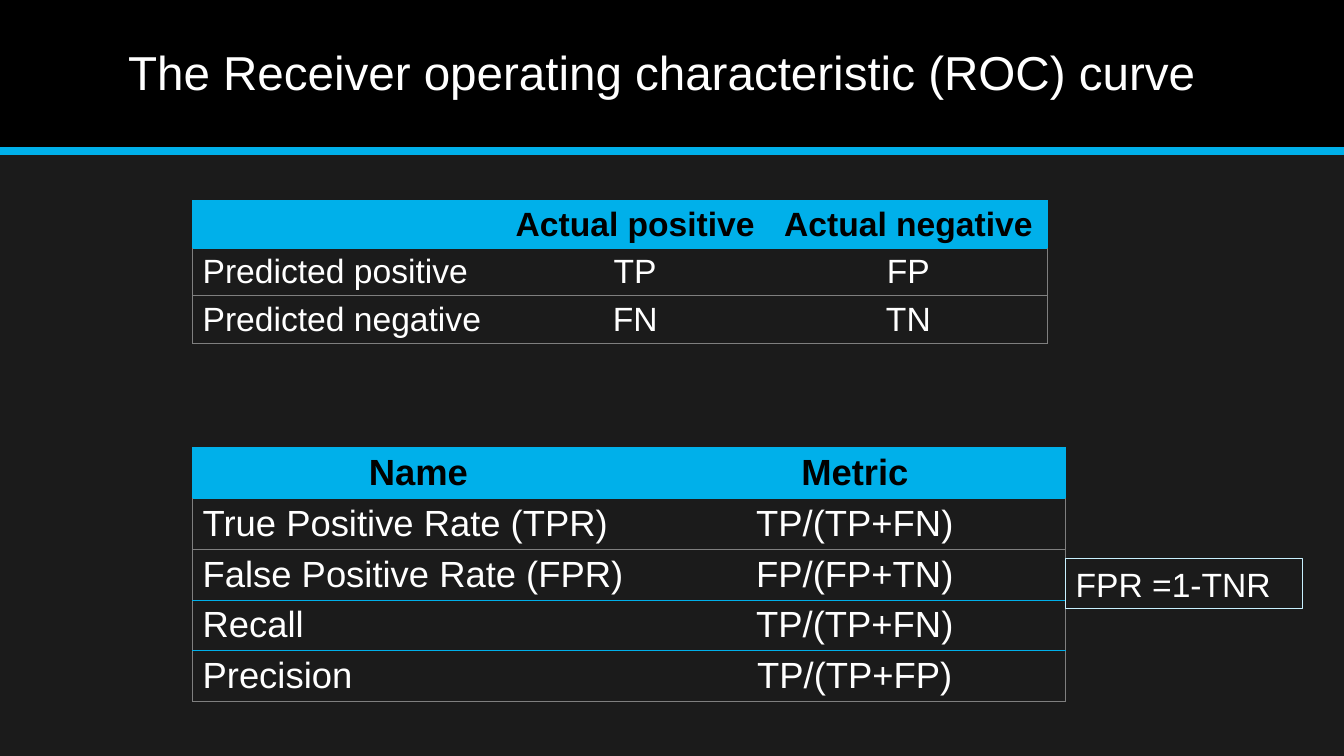
from lxml import etree
from pptx import Presentation
from pptx import util as u
from pptx.dml.color import RGBColor
from pptx.enum import shapes, text
from pptx.oxml import ns

COLORS = {
    "background": "1B1B1B",
    "band": "000000",
    "accent": "00B0EA",
    "grid": "7F7F7F",
    "note": "C8F1FF",
    "light": "FFFFFF",
    "dark": "000000",
}
PLAIN_TABLE = "{2D5ABB26-0587-4C30-8999-92F81FD0307C}"
CONFUSION = [
    ["", "Actual positive", "Actual negative"],
    ["Predicted positive", "TP", "FP"],
    ["Predicted negative", "FN", "TN"],
]
METRICS = [
    ["Name", "Metric"],
    ["True Positive Rate (TPR)", "TP/(TP+FN)"],
    ["False Positive Rate (FPR)", "FP/(FP+TN)"],
    ["Recall", "TP/(TP+FN)"],
    ["Precision", "TP/(TP+FP)"],
]


class Deck:
    font = "Arial"

    def __init__(self, width, height):
        self.deck = Presentation()
        self.deck.slide_width = u.Inches(width)
        self.deck.slide_height = u.Inches(height)
        self.slide = self.deck.slides.add_slide(self.deck.slide_layouts[5])
        self.shapes = self.slide.shapes
        self.paint(self.slide.background.fill, "background")

    def color(self, name):
        return RGBColor.from_string(COLORS[name])

    def paint(self, fill, name):
        fill.solid()
        fill.fore_color.rgb = self.color(name)

    def put_text(self, frame, words, size, color="light", bold=False,
                 align=text.PP_ALIGN.LEFT):
        frame.text = words
        paragraph = frame.paragraphs[0]
        paragraph.alignment = align
        for run in paragraph.runs:
            run.font.name = self.font
            run.font.size = u.Pt(size)
            run.font.bold = bold
            run.font.color.rgb = self.color(color)
        return paragraph

    def box(self, left, top, width, height):
        shape = self.shapes.add_shape(
            shapes.MSO_SHAPE.RECTANGLE,
            *map(u.Inches, (left, top, width, height)))
        shape.shadow.inherit = False
        return shape

    def band(self, width, height):
        header = self.box(0, 0, width, height)
        self.paint(header.fill, "band")
        header.line.fill.background()

    def rule(self, top, width, weight):
        divider = self.shapes.add_connector(
            shapes.MSO_CONNECTOR.STRAIGHT,
            *map(u.Inches, (0, top, width, top)))
        divider.line.color.rgb = self.color("accent")
        divider.line.width = u.Pt(weight)
        etree.SubElement(divider._element.spPr, ns.qn("a:effectLst"))

    def title(self, words, left, top, width, height):
        heading = self.shapes.title
        heading.left, heading.top, heading.width, heading.height = map(
            u.Inches, (left, top, width, height))
        frame = heading.text_frame
        frame.auto_size = text.MSO_AUTO_SIZE.NONE
        frame.vertical_anchor = text.MSO_ANCHOR.MIDDLE
        self.put_text(frame, words, 34).line_spacing = 0.9
        self.shapes._spTree.append(heading._element)

    def note(self, words, left, top, width, height):
        remark = self.box(left, top, width, height)
        remark.fill.background()
        remark.line.color.rgb = self.color("note")
        remark.line.width = u.Pt(0.75)
        remark.text_frame.word_wrap = True
        self.put_text(remark.text_frame, words, 24)

    def border(self, cell, side, name):
        edge = etree.SubElement(cell._tc.get_or_add_tcPr(),
                                ns.qn(f"a:ln{side}"), w=str(u.Pt(0.5)))
        fill = etree.SubElement(edge, ns.qn("a:solidFill"))
        etree.SubElement(fill, ns.qn("a:srgbClr"), val=COLORS[name])

    def table(self, rows, left, top, widths, row_height, size, accent_edges=()):
        frame = self.shapes.add_table(
            len(rows), len(widths), u.Inches(left), u.Inches(top),
            u.Inches(sum(widths)), u.Inches(row_height * len(rows)))
        grid = frame.table
        grid._tbl.tblPr.find(ns.qn("a:tableStyleId")).text = PLAIN_TABLE
        grid.first_row = grid.horz_banding = False
        for column, width in zip(grid.columns, widths):
            column.width = u.Inches(width)
        for r, row in enumerate(rows):
            header = r == 0
            for c, words in enumerate(row):
                cell = grid.cell(r, c)
                centred = header or c > 0
                self.put_text(cell.text_frame, words, size,
                              "dark" if header else "light", header,
                              text.PP_ALIGN.CENTER if centred else text.PP_ALIGN.LEFT)
                side_color = "accent" if header else "grid"
                if c == 0:
                    self.border(cell, "L", side_color)
                if c == len(widths) - 1:
                    self.border(cell, "R", side_color)
                for side, edge in (("T", r), ("B", r + 1)):
                    accent = edge < 2 or edge in accent_edges
                    self.border(cell, side, "accent" if accent else "grid")
                if header:
                    self.paint(cell.fill, "accent")
                else:
                    cell.fill.background()


def main():
    roc = Deck(13.33, 7.5)
    roc.band(13.33, 1.5)
    roc.rule(1.5, 13.33, 6)
    roc.title("The Receiver operating characteristic (ROC) curve",
              1.17, 0.14, 11, 1.2)
    roc.table(CONFUSION, 1.91, 1.99, [3.06, 2.66, 2.76], 0.47, 24)
    roc.table(METRICS, 1.91, 4.44, [4.48, 4.18], 0.5, 26, accent_edges=(3, 4))
    roc.note("FPR =1-TNR", 10.57, 5.54, 2.35, 0.5)
    roc.deck.save("out.pptx")


if __name__ == "__main__":
    main()
